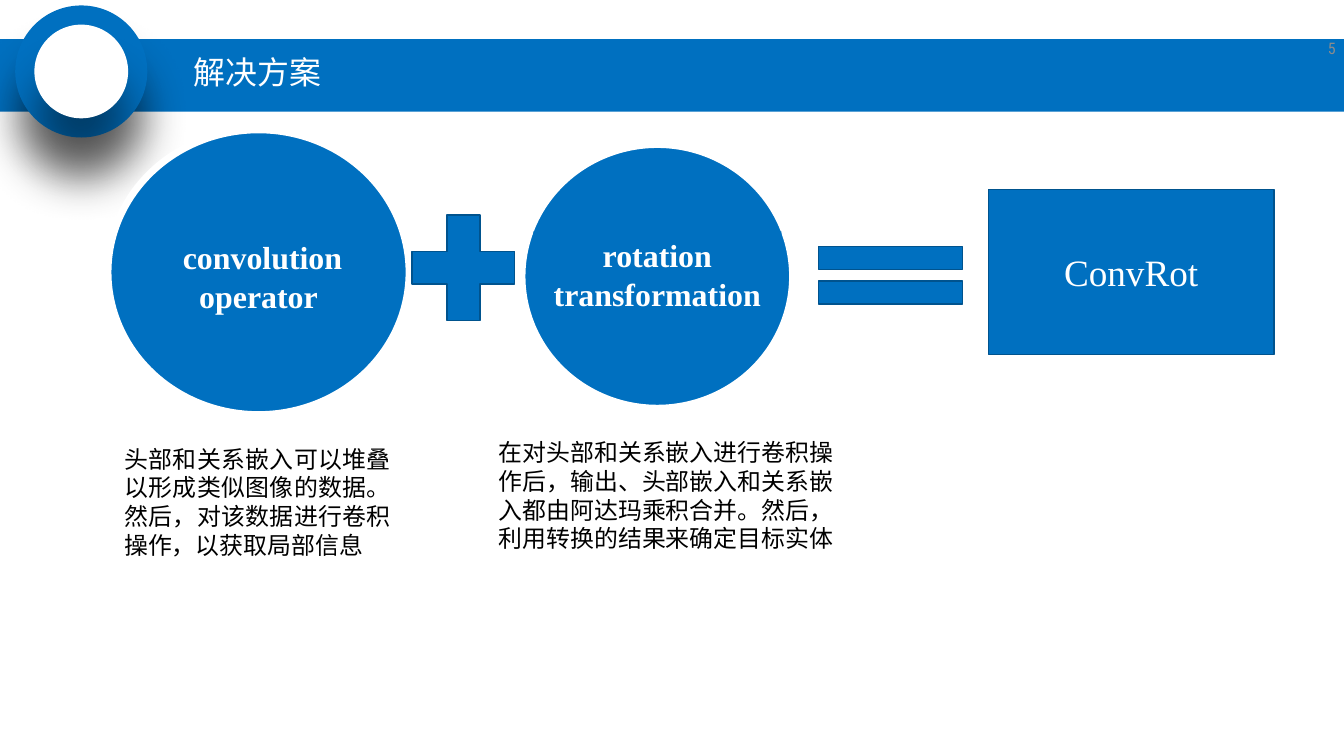
import pptx
import pptx.dml.color
import pptx.enum.shapes
import pptx.enum.text
import pptx.oxml
import pptx.util
from pptx.util import Cm

BLUE, EDGE, WHITE, BLACK, GREY = "0070C0", "00538E", "FFFFFF", "000000", "8C8C8C"
SERIF, HEAD, BODY = "Times New Roman", "Roboto Condensed", "Calibri"
SHAPE = pptx.enum.shapes.MSO_SHAPE
ALIGN = pptx.enum.text.PP_ALIGN
ANCHOR = pptx.enum.text.MSO_ANCHOR
NS = "http://schemas.openxmlformats.org/drawingml/2006/main"


def paint(color_format, value):
    color_format.rgb = pptx.dml.color.RGBColor.from_string(value)


def add_shape(parent, kind, box, fill=BLUE, line=None, width=1):
    sp = parent.shapes.add_shape(kind, *map(Cm, box))
    sp.shadow.inherit = False
    sp.fill.solid()
    paint(sp.fill.fore_color, fill)
    if line:
        paint(sp.line.color, line)
        sp.line.width = pptx.util.Pt(width)
    else:
        sp.line.fill.background()
    return sp


def write(sp, text, size, font, color, align=ALIGN.LEFT, anchor=ANCHOR.TOP, bold=False):
    tf = sp.text_frame
    tf.word_wrap = True
    tf.auto_size = pptx.enum.text.MSO_AUTO_SIZE.NONE
    tf.vertical_anchor = anchor
    p = tf.paragraphs[0]
    p.alignment = align
    r = p.add_run()
    r.text = text
    r.font.size = pptx.util.Pt(size)
    r.font.name = font
    r.font.bold = bold
    paint(r.font.color, color)
    return p


def add_text(s, box, text, size, font, color, **layout):
    sp = s.shapes.add_textbox(*map(Cm, box))
    write(sp, text, size, font, color, **layout)


def cast_shadow(sp):
    effects = sp.element.spPr.find(f"{{{NS}}}effectLst")
    effects.append(pptx.oxml.parse_xml(
        f'<a:outerShdw xmlns:a="{NS}" blurRad="419100" dist="419100" dir="5400000" '
        'algn="t" rotWithShape="0"><a:srgbClr val="000000"><a:alpha val="43000"/>'
        '</a:srgbClr></a:outerShdw>'))


def header(s, box, title, number):
    x, y, w, h = box
    add_shape(s, SHAPE.RECTANGLE, box)
    for size, fill in ((3.51, BLUE), (2.49, WHITE)):
        disc = (x + 2.16 - size / 2, y + 0.86 - size / 2, size, size)
        cast_shadow(add_shape(s, SHAPE.OVAL, disc, fill))
    sp = s.shapes.title
    sp.left, sp.top, sp.width, sp.height = map(Cm, (x + 4.9, y + 0.23, 8.81, 1.4))
    p = write(sp, title, 24, HEAD, WHITE, anchor=ANCHOR.MIDDLE)
    p.line_spacing = 0.9
    sp.element.getparent().append(sp.element)
    add_text(s, (x + w - 1.72, y - 0.3, 1.75, 1.07), number, 12, HEAD, GREY,
             align=ALIGN.RIGHT, anchor=ANCHOR.MIDDLE)


def term(s, box, label, label_drop):
    x, y, w, h = box
    group = s.shapes.add_group_shape()
    add_shape(group, SHAPE.OVAL, box, line=WHITE, width=5.25)
    plate = add_shape(group, SHAPE.RECTANGLE, (x + 0.3, y + label_drop, w - 0.6, 2.15))
    write(plate, label, 24, SERIF, WHITE, align=ALIGN.CENTER, bold=True)


def equation(s, box):
    x, y, w, h = box
    term(s, (x, y, 8, 7.57), " convolution operator", 2.75)
    term(s, (x + 11, y + 0.39, 7.19, 7.01), "rotation transformation", 2.31)
    add_shape(s, SHAPE.MATH_PLUS, (x + 7.59, y + 1.76, 3.71, 3.81), line=EDGE)
    add_shape(s, SHAPE.MATH_EQUAL, (x + 18.19, y + 2.57, 5.21, 2.59), line=EDGE)
    result = add_shape(s, SHAPE.RECTANGLE, (x + w - 7.59, y + 1.58, 7.59, 4.39), line=EDGE)
    write(result, "ConvRot", 28, SERIF, WHITE, align=ALIGN.CENTER, anchor=ANCHOR.MIDDLE)


def notes(s, box):
    x, y, w, h = box
    add_text(s, (x, y + 0.17, 7.59, h),
             "头部和关系嵌入可以堆叠以形成类似图像的数据。然后，对该数据进行卷积操作，以获取局部信息",
             18, SERIF, BLACK, align=ALIGN.JUSTIFY)
    add_text(s, (x + w - 9.68, y, 9.68, h),
             "在对头部和关系嵌入进行卷积操作后，输出、头部嵌入和关系嵌入都由阿达玛乘积合并。然后，利用转换的结果来确定目标实体",
             18, BODY, BLACK)


def main():
    prs = pptx.Presentation()
    prs.slide_width, prs.slide_height = Cm(35.71), Cm(20.09)
    s = prs.slides.add_slide(prs.slide_layouts[5])
    header(s, (0, 1.04, 35.71, 1.93), "解决方案", "5")
    equation(s, (2.87, 3.45, 30.98, 7.57))
    notes(s, (3.05, 11.51, 19.63, 3.33))
    prs.save("out.pptx")


if __name__ == "__main__":
    main()
